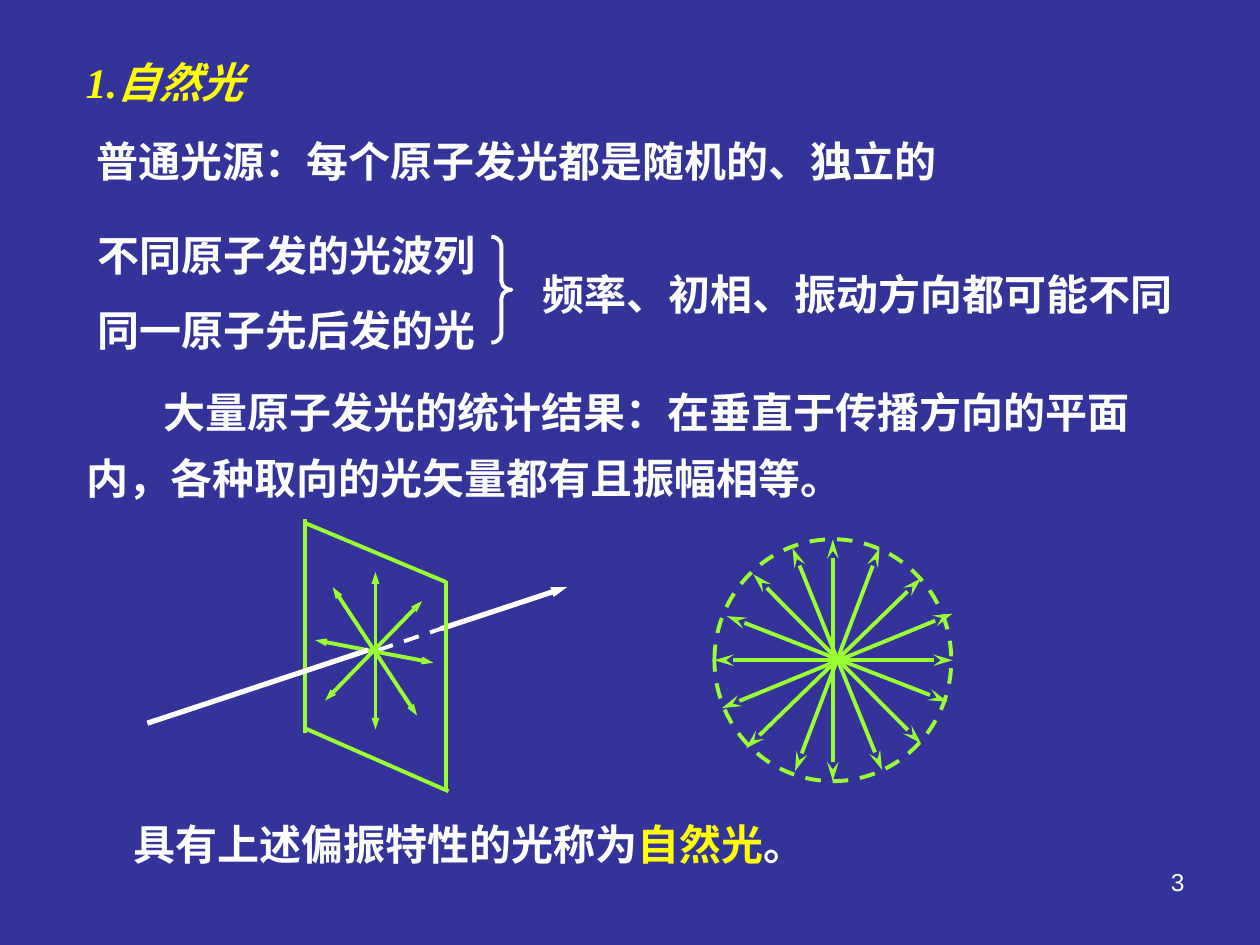
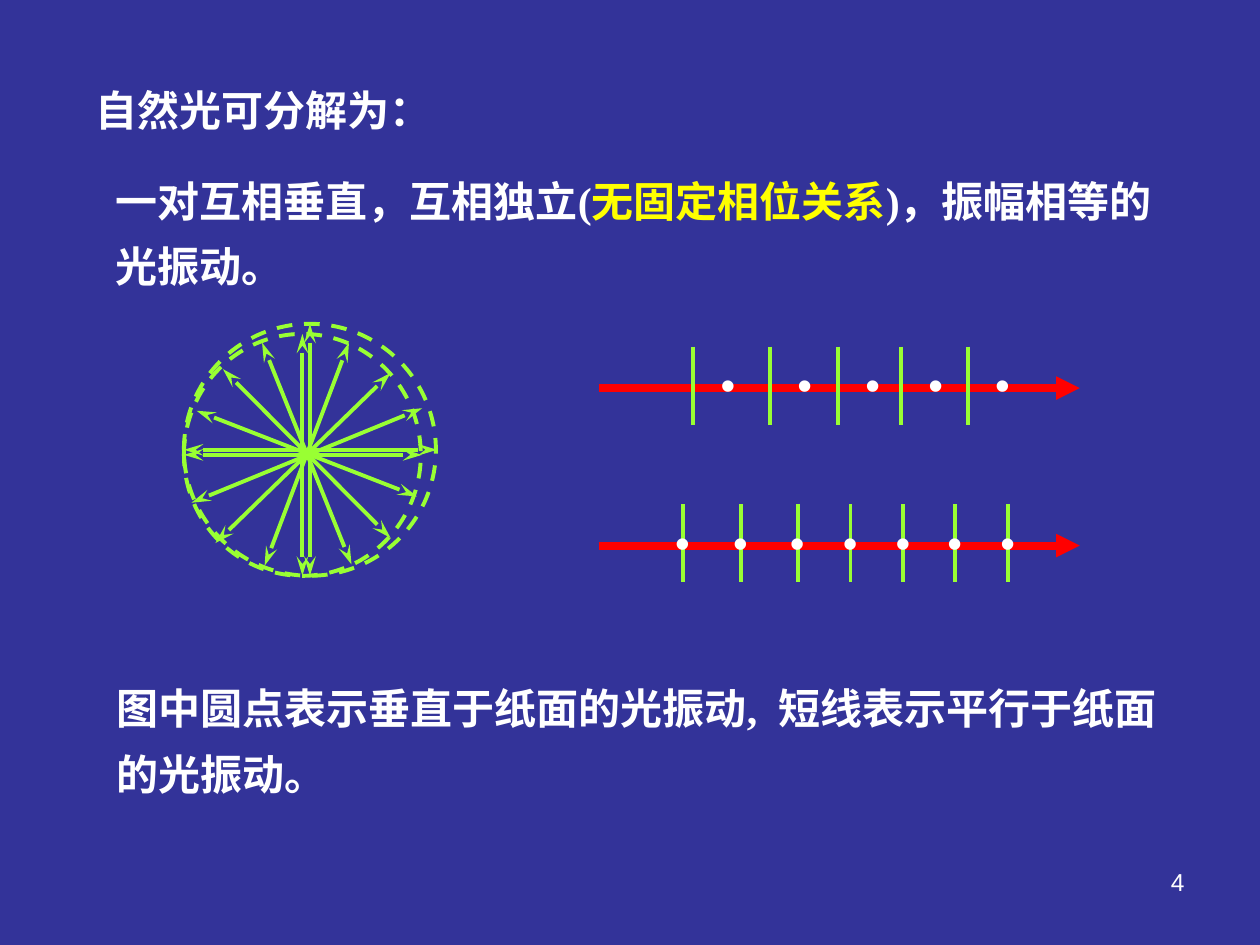
from dataclasses import dataclass
from lxml import etree
from pptx import Presentation
from pptx.dml.color import RGBColor
from pptx.enum.dml import MSO_LINE
from pptx.enum.shapes import MSO_CONNECTOR, MSO_SHAPE
from pptx.enum.text import MSO_ANCHOR, MSO_AUTO_SIZE, PP_ALIGN
from pptx.oxml.ns import qn
from pptx.util import Pt

EMU_PER_PX = 9144
COLORS = {
    "background": "333399",
    "text": "FFFFFF",
    "accent": "FFFF00",
    "vibration": "99FF33",
    "ray": "FF0000",
}
SERIF, SANS, CJK = "Times New Roman", "Arial", "Noto Sans CJK SC"
DASH = MSO_LINE.DASH
STRAIGHT = MSO_CONNECTOR.STRAIGHT
OVAL, BRACE = MSO_SHAPE.OVAL, MSO_SHAPE.RIGHT_BRACE
LEFT, RIGHT = PP_ALIGN.LEFT, PP_ALIGN.RIGHT
TOP, NO_AUTOFIT = MSO_ANCHOR.TOP, MSO_AUTO_SIZE.NONE
TITLE_AND_CONTENT = 1


@dataclass(frozen=True)
class Span:
    """A run of text with its character formatting."""
    text: str
    color: str = "text"
    font: str = SERIF
    size: int = 24
    bold: bool = True
    italic: bool = False
    tracking: int = 0


@dataclass(frozen=True)
class Block:
    """A text frame with its place and its paragraphs of spans."""
    left: int
    top: int
    width: int
    height: int
    paragraphs: tuple[tuple[Span, ...], ...]
    spacing: float = 1.3
    indent: int = 0
    wrap: bool = True
    align: PP_ALIGN = LEFT


@dataclass(frozen=True)
class Arrowhead:
    """An arrowhead type with its relative width and length."""
    kind: str
    width: str = "med"
    length: str = "med"


@dataclass(frozen=True)
class Segment:
    """A straight line with optional dash and arrowheads."""
    x1: int
    y1: int
    x2: int
    y2: int
    color: str = "vibration"
    weight: float = 2.25
    dashed: bool = False
    head: Arrowhead | None = None
    tail: Arrowhead | None = None


@dataclass(frozen=True)
class RayRow:
    """A light ray crossed by ticks and dotted beside or on each tick."""
    y: int
    tick_top: int
    dot_top: int
    dot_shift: int
    ticks: tuple[int, ...]


STEALTH = Arrowhead("stealth", length="lg")
TRIANGLE = Arrowhead("triangle")
SLIM = Arrowhead("triangle", width="sm")

DIAGONALS = (
    (164, 31, 25, 166), (31, 28, 164, 162), (62, 7, 133, 183), (131, 7, 64, 184),
    (185, 129, 10, 61), (6, 134, 189, 59),
)
PLANE_VECTORS = (
    (335, 477, 258, 556), (264, 466, 331, 568), (298, 454, 298, 579), (250, 508, 344, 526),
)
PLANE_EDGES = (
    (242, 412, 242, 582), (354, 461, 354, 628), (242, 415, 354, 462), (242, 578, 356, 628),
)
RAY_ROWS = (
    RayRow(308, 275, 280, 12, (550, 611, 665, 715, 768)),
    RayRow(433, 400, 405, -16, (542, 588, 633, 675, 717, 758, 800)),
)

NATURAL_TITLE = Block(58, 28, 200, 62, ((
    Span("1.", "accent", italic=True), Span("自然光", "accent", CJK, italic=True)),))
WAVE_TRAINS = Block(67, 157, 326, 130, (
    (Span("不同原子发的光波列", font=CJK),),
    (Span("同一原子先后发的光", font=CJK),)), spacing=1.5, wrap=False)
NATURAL_TEXTS = (
    Block(67, 91, 832, 62, ((Span("普通光源：每个原子发光都是随机的、独立的"),),)),
    Block(421, 196, 535, 62, ((Span("频率、初相、振动方向都可能不同"),),)),
    Block(59, 290, 870, 114, ((
        Span("大量原子发光的统计结果：在垂直于传播方向的平面内，"),
        Span("各种取向的光矢量都有且振幅相等。", font=CJK)),), indent=61),
    Block(96, 633, 553, 62, ((
        Span("具有上述偏振特性的光称为"), Span("自然光", "accent"), Span("。")),), wrap=False),
)
DECOMPOSITION_TITLE = Block(66, 50, 290, 62, ((Span("自然光可分解为："),),), wrap=False)
DECOMPOSITION = Block(82, 122, 868, 114, ((
    Span("一对互相垂直，互相独立("), Span("无固定相位关系", "accent"),
    Span(")，振幅相等的光振动。")),))
LEGEND = Block(83, 525, 852, 114, ((
    Span("图中圆点表示垂直于纸面的光振动,"), Span(" ", tracking=600),
    Span("短线表示平行于纸面的光振动。")),))


def px(value: int) -> int:
    """Turn px into EMU."""
    return value * EMU_PER_PX


def rgb(name: str) -> RGBColor:
    """Look up a named colour."""
    return RGBColor.from_string(COLORS[name])


def add_span(paragraph, span: Span) -> None:
    """Add one formatted run to a paragraph."""
    run = paragraph.add_run()
    run.text = span.text
    font = run.font
    font.size, font.bold, font.italic = Pt(span.size), span.bold, span.italic
    font.color.rgb = rgb(span.color)
    font.name = span.font
    properties = run._r.get_or_add_rPr()
    properties.set("lang", "zh-CN")
    if span.tracking:
        properties.set("spc", str(span.tracking))
    east_asian = etree.SubElement(properties, qn("a:ea"))
    east_asian.set("typeface", SANS if span.font == SANS else CJK)


def fill_block(shape, block: Block) -> None:
    """Place a shape and write the block's paragraphs into it."""
    shape.left, shape.top = px(block.left), px(block.top)
    shape.width, shape.height = px(block.width), px(block.height)
    frame = shape.text_frame
    frame.word_wrap = block.wrap
    frame.auto_size = NO_AUTOFIT
    frame.vertical_anchor = TOP
    for index, spans in enumerate(block.paragraphs):
        paragraph = frame.add_paragraph() if index else frame.paragraphs[0]
        properties = paragraph._p.get_or_add_pPr()
        properties.set("marL", "0")
        properties.set("indent", str(px(block.indent)))
        etree.SubElement(properties, qn("a:buNone"))
        paragraph.alignment = block.align
        paragraph.line_spacing = block.spacing
        paragraph.space_before = Pt(0)
        for span in spans:
            add_span(paragraph, span)


def add_block(slide, block: Block) -> None:
    """Add a text box holding the block."""
    fill_block(slide.shapes.add_textbox(0, 0, 0, 0), block)


def add_segment(slide, segment: Segment) -> None:
    """Draw a straight line."""
    connector = slide.shapes.add_connector(
        STRAIGHT, px(segment.x1), px(segment.y1), px(segment.x2), px(segment.y2))
    line = connector.line
    line.color.rgb = rgb(segment.color)
    line.width = Pt(segment.weight)
    if segment.dashed:
        line.dash_style = DASH
    for tag, arrowhead in (("a:headEnd", segment.head), ("a:tailEnd", segment.tail)):
        if arrowhead:
            end = etree.SubElement(line._get_or_add_ln(), qn(tag))
            end.set("type", arrowhead.kind)
            end.set("w", arrowhead.width)
            end.set("len", arrowhead.length)
    etree.SubElement(connector._element.spPr, qn("a:effectLst"))


def add_outline(slide, kind: MSO_SHAPE, left: int, top: int, width: int, height: int,
                color: str):
    """Add an unfilled preset shape."""
    shape = slide.shapes.add_shape(kind, px(left), px(top), px(width), px(height))
    shape.shadow.inherit = False
    shape.fill.background()
    shape.line.color.rgb = rgb(color)
    shape.line.width = Pt(2.25)
    return shape


def add_crossed_circle(slide, left: int, top: int, width: int, height: int) -> None:
    """Draw a dashed circle with its two main vibration directions."""
    circle = add_outline(slide, OVAL, left, top, width, height, "vibration")
    circle.line.dash_style = DASH
    middle_x, middle_y = left + width // 2, top + height // 2
    for ends in ((left, middle_y, left + width + 1, middle_y),
                 (middle_x, top, middle_x, top + height)):
        add_segment(slide, Segment(*ends, head=STEALTH, tail=STEALTH))


def add_vibration_star(slide, left: int, top: int) -> None:
    """Draw a crossed circle with all diagonal light vectors."""
    add_crossed_circle(slide, left, top, 188, 192)
    for x1, y1, x2, y2 in DIAGONALS:
        add_segment(slide, Segment(left + x1, top + y1, left + x2, top + y2,
                                   head=STEALTH, tail=STEALTH))


def add_light_plane(slide) -> None:
    """Draw a ray passing through a plane of light vectors."""
    add_segment(slide, Segment(350, 499, 450, 466, "text", 3, tail=SLIM))
    add_segment(slide, Segment(300, 516, 350, 499, "text", dashed=True))
    for vector in PLANE_VECTORS:
        add_segment(slide, Segment(*vector, head=SLIM, tail=SLIM))
    for edge in PLANE_EDGES:
        add_segment(slide, Segment(*edge))
    add_segment(slide, Segment(117, 574, 292, 516, "text", 3))


def add_ray_row(slide, row: RayRow) -> None:
    """Draw a ray with its ticks and dots."""
    add_segment(slide, Segment(475, row.y, 857, row.y, "ray", 4.5, tail=TRIANGLE))
    dot = Span("•", font=SANS, bold=False)
    for tick in row.ticks:
        add_segment(slide, Segment(tick, row.tick_top, tick, row.tick_top + 62))
        add_block(slide, Block(tick + row.dot_shift, row.dot_top, 39, 50, ((dot,),), spacing=1))


def add_page(presentation, number: int, title: Block, body: Block):
    """Add a slide with its title, body and page number."""
    slide = presentation.slides.add_slide(presentation.slide_layouts[TITLE_AND_CONTENT])
    fill_block(slide.shapes.title, title)
    fill_block(slide.placeholders[1], body)
    page_number = Span(str(number), font=SANS, size=14, bold=False)
    add_block(slide, Block(717, 683, 233, 52, ((page_number,),), spacing=1, align=RIGHT))
    return slide


def build_natural_light(presentation) -> None:
    """Build the slide that defines natural light."""
    slide = add_page(presentation, 3, NATURAL_TITLE, WAVE_TRAINS)
    brace = add_outline(slide, BRACE, 390, 188, 16, 84, "text")
    brace.adjustments[0] = 0.44
    for block in NATURAL_TEXTS:
        add_block(slide, block)
    add_vibration_star(slide, 567, 428)
    add_light_plane(slide)


def build_decomposition(presentation) -> None:
    """Build the slide that decomposes natural light."""
    slide = add_page(presentation, 4, DECOMPOSITION_TITLE, DECOMPOSITION)
    add_crossed_circle(slide, 146, 257, 200, 200)
    for row in RAY_ROWS:
        add_ray_row(slide, row)
    add_block(slide, LEGEND)
    add_vibration_star(slide, 146, 265)


def main() -> None:
    """Build and save the presentation."""
    presentation = Presentation()
    presentation.slide_width, presentation.slide_height = px(1000), px(750)
    background = presentation.slide_master.background.fill
    background.solid()
    background.fore_color.rgb = rgb("background")
    build_natural_light(presentation)
    build_decomposition(presentation)
    presentation.save("out.pptx")


if __name__ == "__main__":
    main()
